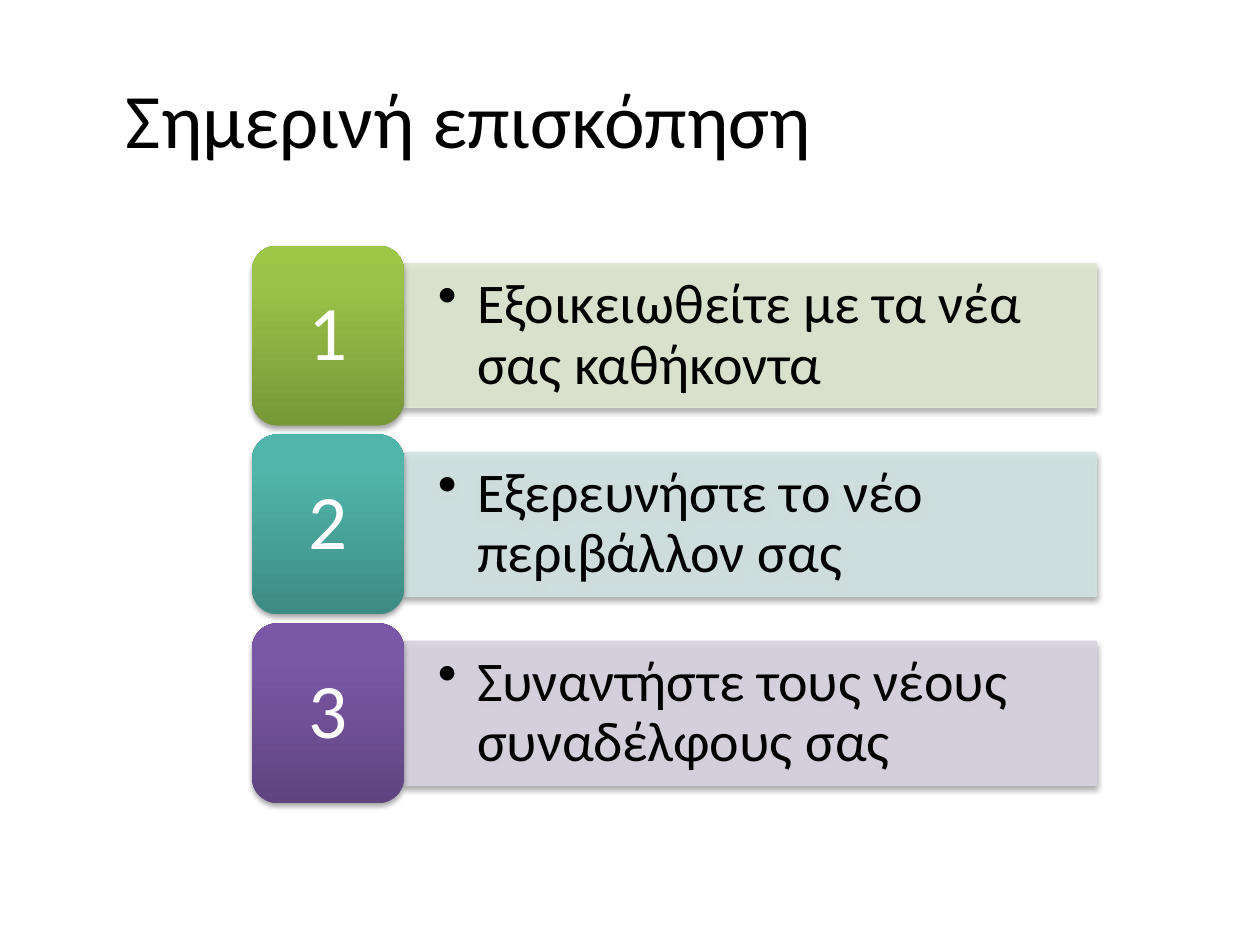
import copy
import dataclasses

import pptx
import pptx.dml.color
import pptx.enum.shapes
import pptx.enum.text
import pptx.oxml
import pptx.oxml.ns
import pptx.util

SHAPES = pptx.enum.shapes.MSO_SHAPE
ALIGN = pptx.enum.text.PP_ALIGN
PAGE_WIDTH, PAGE_HEIGHT = 10, 7.5


@dataclasses.dataclass(frozen=True)
class Theme:
    font: str = "Calibri"
    heading_size: int = 44
    body_size: int = 32
    text: str = "000000"
    badge_text: str = "FFFFFF"
    panel_opacity: int = 90
    stops: tuple = (0, 0.8, 1)
    panels: tuple = ("DEE7D1", "D2E3E2", "D8D3E0")
    badges: tuple = (
        ("779737", "9BC348", "9DC746"),
        ("3D8B83", "50B5AA", "4EB8AC"),
        ("5F4480", "7B58A6", "7C57A8"),
    )


@dataclasses.dataclass(frozen=True)
class Box:
    """A rectangle in inches."""
    left: float
    top: float
    width: float
    height: float

    def share(self, left, top, width, height):
        """Return the inner box given as shares of this one."""
        return Box(self.left + left * self.width, self.top + top * self.height,
                   width * self.width, height * self.height)

    def lengths(self):
        return [pptx.util.Inches(value) for value in dataclasses.astuple(self)]


THEME = Theme()
PAGE = Box(0, 0, PAGE_WIDTH, PAGE_HEIGHT)
STEPS = (
    "Εξοικειωθείτε με τα νέα σας καθήκοντα",
    "Εξερευνήστε το νέο περιβάλλον σας",
    "Συναντήστε τους νέους συναδέλφους σας",
)


def color(value):
    return pptx.dml.color.RGBColor.from_string(value)


def child(tag, parent, **attributes):
    """Append a DrawingML element to its parent."""
    element = pptx.oxml.parse_xml(f"<a:{tag} {pptx.oxml.ns.nsdecls('a')}/>")
    for name, value in attributes.items():
        element.set(name, str(value))
    parent.append(element)
    return element


def add_shadow(shape):
    shape.shadow.inherit = False
    effects = shape.element.spPr.find(pptx.oxml.ns.qn("a:effectLst"))
    shadow = child("outerShdw", effects, blurRad=pptx.util.Pt(3.1),
                   dist=pptx.util.Pt(1.8), dir=90 * 60000, rotWithShape=0)
    child("alpha", child("srgbClr", shadow, val="000000"), val=35000)


def add_bullet(para, indent):
    properties = para._p.get_or_add_pPr()
    properties.set("marL", str(pptx.util.Inches(indent)))
    properties.set("indent", str(-pptx.util.Inches(indent)))
    child("buChar", properties, char="•")


def write(shape, text, size, ink, align=ALIGN.LEFT, insets=(0.1, 0.05),
          spacing=0.9, indent=0):
    frame = shape.text_frame
    across, down = map(pptx.util.Inches, insets)
    frame_format = {
        "word_wrap": True, "vertical_anchor": pptx.enum.text.MSO_ANCHOR.MIDDLE,
        "margin_left": across, "margin_right": across,
        "margin_top": down, "margin_bottom": down,
    }
    for name, value in frame_format.items():
        setattr(frame, name, value)
    para = frame.paragraphs[0]
    para.alignment, para.line_spacing = align, spacing
    if indent:
        add_bullet(para, indent)
    span = para.add_run()
    span.text = text
    for name, value in {"name": THEME.font, "size": pptx.util.Pt(size)}.items():
        setattr(span.font, name, value)
    span.font.color.rgb = color(ink)


def add_title(page, box, text):
    write(page.shapes.add_textbox(*box.lengths()), text,
          THEME.heading_size, THEME.text, spacing=1)


def add_panel(page, box, text, tint):
    panel = page.shapes.add_shape(SHAPES.RECTANGLE, *box.lengths())
    panel.line.width = pptx.util.Pt(0.75)
    for fill in (panel.fill, panel.line.fill):
        fill.solid()
        fill.fore_color.rgb = color(tint)
    for solid in panel.element.spPr.iter(pptx.oxml.ns.qn("a:solidFill")):
        child("alpha", solid[0], val=THEME.panel_opacity * 1000)
    add_shadow(panel)
    write(panel, text, THEME.body_size, THEME.text, insets=(0.27, 0.14), indent=0.31)


def add_badge(page, box, number, tints):
    badge = page.shapes.add_shape(SHAPES.ROUNDED_RECTANGLE, *box.lengths())
    badge.line.fill.background()
    badge.fill.gradient()
    badge.fill.gradient_angle = 90
    stop_list = badge.element.spPr.find(".//" + pptx.oxml.ns.qn("a:gsLst"))
    stop_list.append(copy.deepcopy(stop_list[0]))
    for stop, place, tint in zip(badge.fill.gradient_stops, THEME.stops, tints):
        stop.position, stop.color.rgb = place, color(tint)
    add_shadow(badge)
    write(badge, str(number), THEME.heading_size, THEME.badge_text,
          align=ALIGN.CENTER, insets=(0.24, 0.15))


def add_steps(page, box, steps):
    """Stack numbered rows, with a gap of a twentieth of a row between them."""
    gap = 0.05
    row_height = 1 / (len(steps) + gap * (len(steps) - 1))
    badge_width, panel_height = 0.18, 0.8
    for index, (text, tint, tints) in enumerate(zip(steps, THEME.panels, THEME.badges)):
        row = box.share(0, index * row_height * (1 + gap), 1, row_height)
        add_panel(page, row.share(badge_width, (1 - panel_height) / 2,
                                  1 - badge_width, panel_height), text, tint)
        add_badge(page, row.share(0, 0, badge_width, 1), index + 1, tints)


def main():
    deck = pptx.Presentation()
    deck.slide_width = pptx.util.Inches(PAGE_WIDTH)
    deck.slide_height = pptx.util.Inches(PAGE_HEIGHT)
    page = deck.slides.add_slide(deck.slide_layouts[6])
    add_steps(page, PAGE.share(0.2, 0.26, 0.67, 0.59), STEPS)
    add_title(page, PAGE.share(0.09, 0.04, 0.88, 0.17), "Σημερινή επισκόπηση")
    deck.save("out.pptx")


if __name__ == "__main__":
    main()
